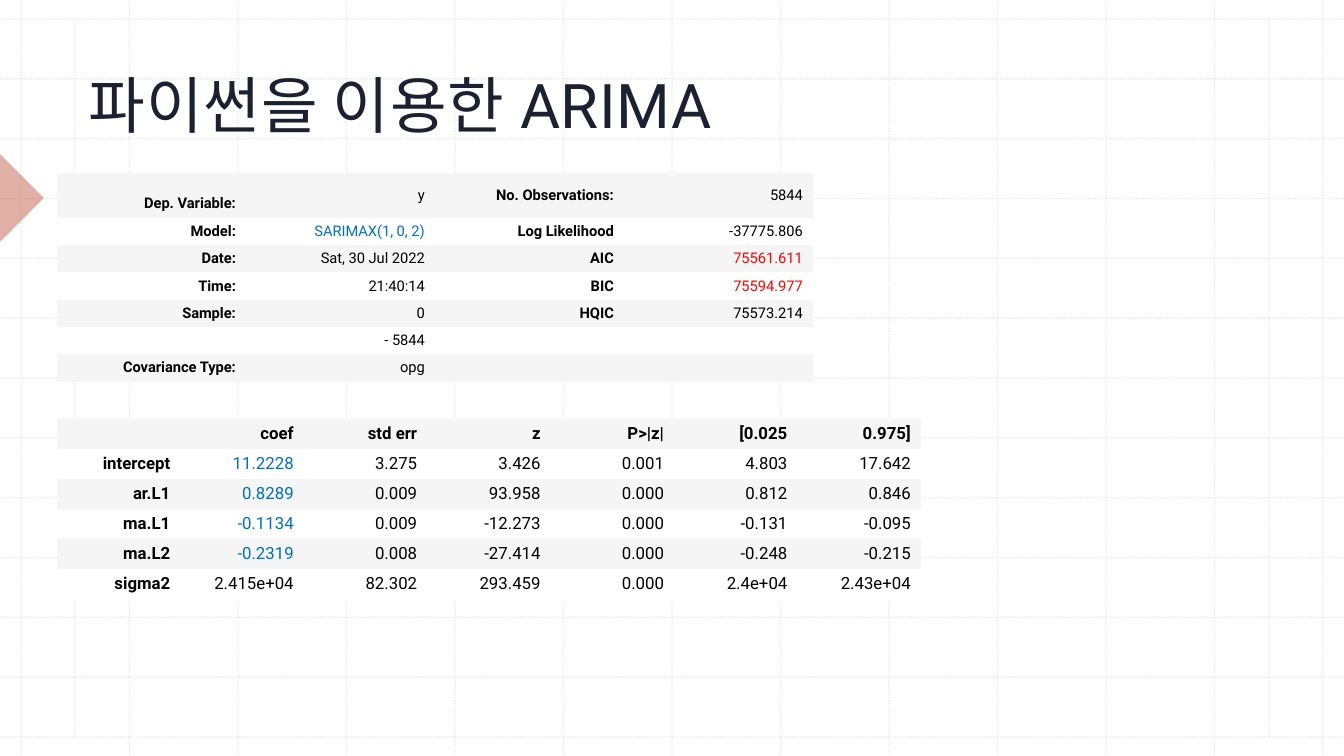
import pptx
import pptx.util
import pptx.dml.color
import pptx.enum.dml
import pptx.enum.shapes
import pptx.enum.text
import pptx.oxml.ns
from lxml import etree

RGBColor = pptx.dml.color.RGBColor
GRID = RGBColor(0xBC, 0xBC, 0xBC)
CORAL = RGBColor(0xC3, 0x61, 0x4D)
NAVY = RGBColor(0x1B, 0x21, 0x30)
BLACK = RGBColor(0x00, 0x00, 0x00)
BLUE = RGBColor(0x00, 0x70, 0xC0)
RED = RGBColor(0xFF, 0x00, 0x00)
GREY = RGBColor(0xF5, 0xF5, 0xF5)
WHITE = RGBColor(0xFF, 0xFF, 0xFF)

FONT = "Roboto"
WIDTH, HEIGHT = 1344, 756
EMU_PER_PX = 12192000 / WIDTH
NO_STYLE = "{2D5ABB26-0587-4C30-8999-92F81FD0307C}"

SUMMARY = [
    ["Dep. Variable:", "y", "No. Observations:", "5844"],
    ["Model:", "SARIMAX(1, 0, 2)", "Log Likelihood", "-37775.806"],
    ["Date:", "Sat, 30 Jul 2022", "AIC", "75561.611"],
    ["Time:", "21:40:14", "BIC", "75594.977"],
    ["Sample:", "0", "HQIC", "75573.214"],
    ["", "- 5844", "", ""],
    ["Covariance Type:", "opg", "", ""],
]
SUMMARY_COLOURS = {(1, 1): BLUE, (2, 3): RED, (3, 3): RED}

COEFFICIENTS = [
    ["", "coef", "std err", "z", "P>|z|", "[0.025", "0.975]"],
    ["intercept", "11.2228", "3.275", "3.426", "0.001", "4.803", "17.642"],
    ["ar.L1", "0.8289", "0.009", "93.958", "0.000", "0.812", "0.846"],
    ["ma.L1", "-0.1134", "0.009", "-12.273", "0.000", "-0.131", "-0.095"],
    ["ma.L2", "-0.2319", "0.008", "-27.414", "0.000", "-0.248", "-0.215"],
    ["sigma2", "2.415e+04", "82.302", "293.459", "0.000", "2.4e+04", "2.43e+04"],
]
COEFFICIENT_COLOURS = {(row, 1): BLUE for row in range(1, 5)}


def px(length):
    return pptx.util.Emu(round(length * EMU_PER_PX))


def add_child(parent, tag, **attributes):
    return etree.SubElement(parent, pptx.oxml.ns.qn(tag), **attributes)


def set_opacity(element, percent):
    for colour in element.iter(pptx.oxml.ns.qn("a:srgbClr")):
        add_child(colour, "a:alpha", val=str(percent * 1000))


def add_grid_line(group, x1, y1, x2, y2):
    line = group.shapes.add_connector(
        pptx.enum.shapes.MSO_CONNECTOR.STRAIGHT, px(x1), px(y1), px(x2), px(y2))
    line.line.color.rgb = GRID
    line.line.width = pptx.util.Pt(1)
    line.line.dash_style = pptx.enum.dml.MSO_LINE.ROUND_DOT
    properties = line._element.spPr
    set_opacity(properties, 30)
    add_child(properties, "a:effectLst")


def add_grid(slide, width, height):
    """Draw 13 evenly spaced lines each way, with two inner margin lines."""
    group = slide.shapes.add_group_shape()
    left, top, inset, count = 21, 19, 75, 13
    for index in range(count):
        x = left + index * (width - 2 * left) / (count - 1)
        y = top + index * (height - 2 * top) / (count - 1)
        add_grid_line(group, x, 0, x, height)
        add_grid_line(group, 0, y, width, y)
    for x in (inset, width - inset):
        add_grid_line(group, x, top, x, height - top)


def add_edge_marker(slide, left, top, size):
    marker = slide.shapes.add_shape(
        pptx.enum.shapes.MSO_SHAPE.RIGHT_TRIANGLE, px(left), px(top), px(size), px(size))
    marker.rotation = 225
    marker.shadow.inherit = False
    marker.fill.solid()
    marker.fill.fore_color.rgb = CORAL
    set_opacity(marker._element.spPr, 50)
    marker.line.fill.background()


def place_title(slide, text, left, top, width, height):
    title = slide.shapes.title
    title.left, title.top = px(left), px(top)
    title.width, title.height = px(width), px(height)
    frame = title.text_frame
    frame.text = text
    frame.word_wrap = True
    frame.auto_size = pptx.enum.text.MSO_AUTO_SIZE.NONE
    frame.vertical_anchor = pptx.enum.text.MSO_ANCHOR.BOTTOM
    frame.margin_left = frame.margin_right = frame.margin_top = px(12)
    frame.margin_bottom = px(10)
    paragraph = frame.paragraphs[0]
    paragraph.alignment = pptx.enum.text.PP_ALIGN.LEFT
    paragraph.line_spacing = 1.14
    font = paragraph.runs[0].font
    font.name, font.size = FONT, pptx.util.Pt(44)
    font.color.rgb = NAVY
    font._element.set("spc", "50")
    slide.shapes._spTree.append(title._element)  # in front of the grid


def fill_cell(cell, text, size, bold, colour, background):
    cell.fill.solid()
    cell.fill.fore_color.rgb = background
    cell.vertical_anchor = pptx.enum.text.MSO_ANCHOR.MIDDLE
    cell.text = text
    paragraph = cell.text_frame.paragraphs[0]
    paragraph.alignment = pptx.enum.text.PP_ALIGN.RIGHT
    font = paragraph.font
    font.name, font.size, font.bold = FONT, pptx.util.Pt(size), bold
    font.color.rgb = colour
    if not text:  # keeps an empty cell from stretching its row
        add_child(paragraph._p, "a:endParaRPr", sz=str(round(size * 100)))


def add_statistics_table(slide, rows, left, top, width, row_heights, size, is_bold, colours):
    """Add a striped, right-aligned table; is_bold(row, column) picks the headings."""
    columns = len(rows[0])
    table = slide.shapes.add_table(
        len(rows), columns, px(left), px(top), px(width), px(sum(row_heights))).table
    table.first_row = table.horz_banding = False
    table._tbl.tblPr.find(pptx.oxml.ns.qn("a:tableStyleId")).text = NO_STYLE
    for column in table.columns:
        column.width = px(width / columns)
    for row, values in enumerate(rows):
        table.rows[row].height = px(row_heights[row])
        for column, text in enumerate(values):
            fill_cell(table.cell(row, column), text, size, is_bold(row, column),
                      colours.get((row, column), BLACK), WHITE if row % 2 else GREY)
    return table


def build_arima_slide(presentation):
    slide = presentation.slides.add_slide(presentation.slide_layouts[5])
    add_grid(slide, WIDTH, HEIGHT)
    add_edge_marker(slide, -31, 167, 62)
    place_title(slide, "파이썬을 이용한 ARIMA", 77, -8, 1138, 159)
    summary = add_statistics_table(
        slide, SUMMARY, 57, 173, 756, [45] + [27] * 6, 10.5,
        lambda row, column: column % 2 == 0, SUMMARY_COLOURS)
    summary.cell(0, 0).margin_top = px(22)  # first label sits one line lower
    add_statistics_table(
        slide, COEFFICIENTS, 57, 419, 864, [30] * 6, 12,
        lambda row, column: row == 0 or column == 0, COEFFICIENT_COLOURS)


def main():
    presentation = pptx.Presentation()
    presentation.slide_width, presentation.slide_height = px(WIDTH), px(HEIGHT)
    build_arima_slide(presentation)
    presentation.save("out.pptx")


if __name__ == "__main__":
    main()
